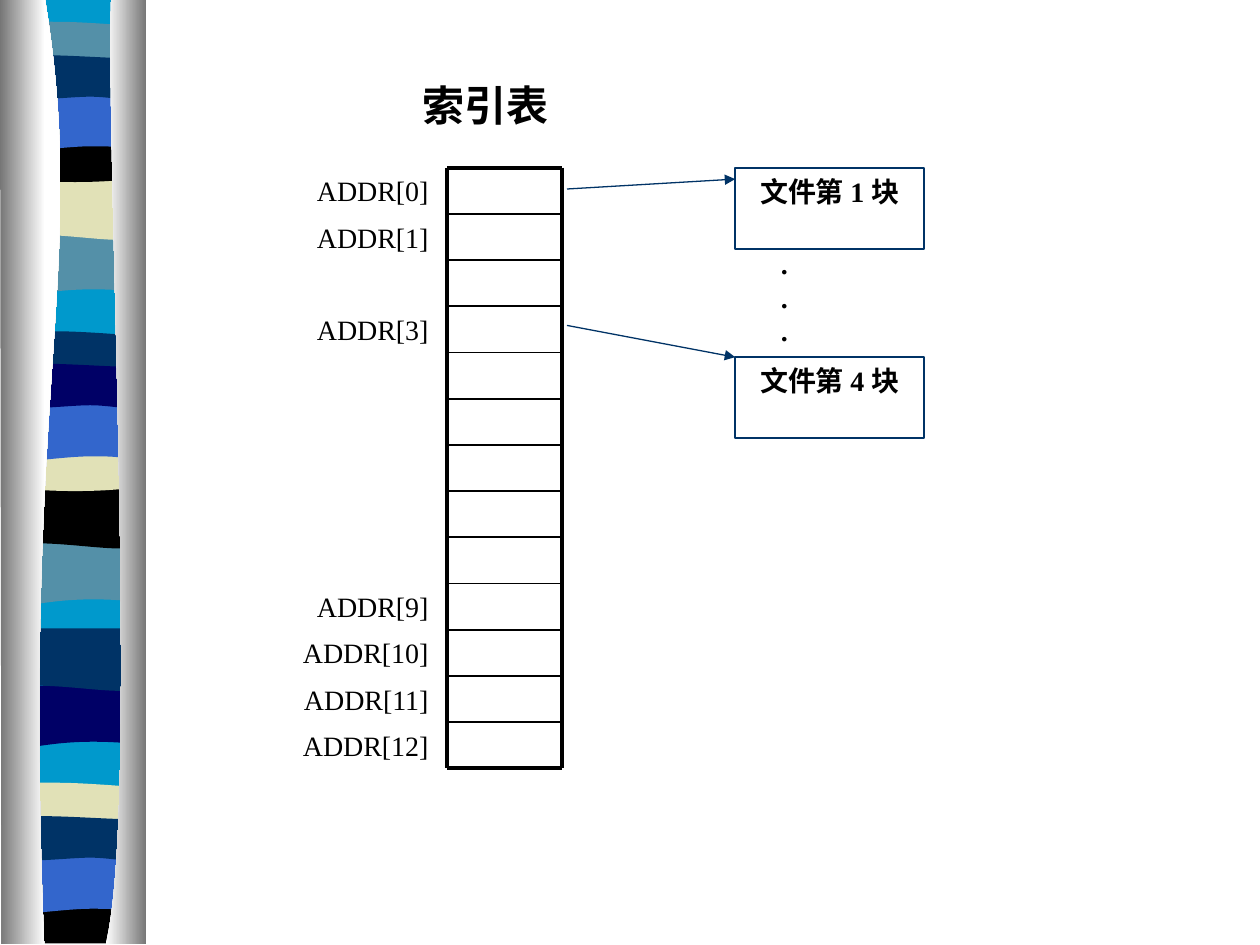
"""Build a slide that shows an index table pointing to file blocks."""
from lxml.etree import SubElement
from pptx import Presentation
from pptx.dml.color import RGBColor
from pptx.enum.shapes import MSO_CONNECTOR, MSO_SHAPE
from pptx.enum.text import MSO_ANCHOR, MSO_AUTO_SIZE, PP_ALIGN
from pptx.oxml.ns import qn
from pptx.util import Cm, Pt

FONT = "Times New Roman"
BLACK = RGBColor(0x00, 0x00, 0x00)
WHITE = RGBColor(0xFF, 0xFF, 0xFF)
GRAY = RGBColor(0x76, 0x76, 0x76)
CYAN = RGBColor(0x00, 0x99, 0xCC)
STEEL = RGBColor(0x54, 0x90, 0xA8)
CREAM = RGBColor(0xE1, 0xE1, 0xB7)
ROYAL = RGBColor(0x33, 0x66, 0xCC)
NAVY = RGBColor(0x00, 0x33, 0x66)
MIDNIGHT = RGBColor(0x00, 0x00, 0x66)

ROWS = 13
LABELED_ROWS = (0, 1, 3, 9, 10, 11, 12)
TABLE_LEFT, TABLE_RIGHT = 9.02, 11.33
TABLE_TOP, TABLE_BOTTOM = 3.38, 15.49
ROW_HEIGHT = (TABLE_BOTTOM - TABLE_TOP) / ROWS

BACKDROP = [(2.74, 0), (2.74, 18.97), (0, 18.97), (0, 0)]
WAVE = [(2.74, 0), (2.74, 1.19), (0.84, 0.99, 0.46, 1.4, 0, 1.19), (0, 0)]
SWELL = [(2.74, 0), (2.74, 1.19), (2.29, 1.4, 0.99, 1.04, 0, 1.19), (0, 0)]
RIBBON = [(2.74, 0.13), (2.74, 0.74), (2.29, 0.84, 0.46, 0.84, 0, 0.74), (0, 0.13),
          (0.15, 0, 0.58, 0.03, 1.04, 0.03), (1.5, 0.03, 2.39, 0.1, 2.74, 0.13)]
BOWL = [(2.74, 0), (2.74, 0.81), (2.29, 0.97, 0.46, 0.97, 0, 0.81), (0, 0),
        (1.68, 0.13, 2.16, 0, 2.74, 0)]
BASE = [(2.74, 0), (2.74, 0.94), (0, 0.94), (0, 0), (1.68, 0.13, 2.16, 0, 2.74, 0)]
ARCH = [(2.74, 0), (2.74, 1.19), (2.31, 1.07, 2.13, 1.07, 1.68, 1.07),
        (1.22, 1.07, 0.41, 1.19, 0, 1.19), (0, 0)]
CREST = [(2.74, 0.13), (2.74, 0.91), (2.57, 1.04, 2.13, 0.91, 1.68, 0.91),
         (1.22, 0.91, 0.28, 1.04, 0, 0.91), (0, 0.13),
         (0.38, 0, 1.85, 0.13, 2.31, 0.13)]
LEFT_EDGE = [(0.91, 0), (1.8, 5.49, 0.43, 7.52, 0.89, 19.03), (0.03, 19.03), (0, 0)]
RIGHT_EDGE = [(2.24, 0), (2.13, 3.18, 2.82, 16.41, 2.13, 19.03), (2.95, 19.03), (2.95, 0)]

BANDS = [
    (BACKDROP, 0, CYAN),
    (WAVE, 4.7, STEEL), (SWELL, 3.58, CREAM), (RIBBON, 0.41, STEEL),
    (BOWL, 2.74, BLACK), (ARCH, 1.88, ROYAL), (CREST, 1.04, NAVY),
    (WAVE, 10.95, STEEL), (SWELL, 9.8, BLACK), (RIBBON, 6.65, NAVY),
    (BOWL, 8.97, CREAM), (ARCH, 8.13, ROYAL), (CREST, 7.26, MIDNIGHT),
    (WAVE, 13.82, MIDNIGHT), (SWELL, 12.67, NAVY), (RIBBON, 15.75, CREAM),
    (BASE, 18.08, BLACK), (ARCH, 17.25, ROYAL), (CREST, 16.38, NAVY),
]


def add_outline(shapes, outline, left=0, top=0):
    """Add a closed borderless freeform whose six-number steps are cubic curves."""
    points = [(Cm(left + step[-2]), Cm(top + step[-1])) for step in outline]
    builder = shapes.build_freeform(*points[0])
    builder.add_line_segments(points[1:], close=True)
    shape = builder.convert_to_shape()
    segments = list(shape._element.iter(qn("a:lnTo")))
    for segment, step in zip(segments, outline[1:]):
        if len(step) == 6:
            segment.tag = qn("a:cubicBezTo")
            for position, (x, y) in enumerate((step[:2], step[2:4])):
                point = SubElement(segment, qn("a:pt"))
                point.set("x", str(Cm(left + x) - shape.left))
                point.set("y", str(Cm(top + y) - shape.top))
                segment.insert(position, point)
    shape.shadow.inherit = False
    shape.line.fill.background()
    return shape


def add_side_ornament(slide, master):
    """Put the striped column between two shaded edges on the slide master."""
    group = slide.shapes.add_group_shape()
    for outline, top, color in BANDS:
        shape = add_outline(group.shapes, outline, 0.14, top)
        shape.fill.solid()
        shape.fill.fore_color.rgb = color
    for outline, colors in ((LEFT_EDGE, (GRAY, WHITE)), (RIGHT_EDGE, (WHITE, GRAY))):
        fill = add_outline(group.shapes, outline).fill
        fill.gradient()
        fill.gradient_angle = 0
        for stop, position, color in zip(fill.gradient_stops, (0, 1), colors):
            stop.position = position
            stop.color.rgb = color
    master.shapes._spTree.insert(2, group._element)


def format_text(text_frame, size, bold=False, align=PP_ALIGN.CENTER):
    """Apply alignment and font to all runs of a text frame."""
    text_frame.vertical_anchor = MSO_ANCHOR.TOP
    for paragraph in text_frame.paragraphs:
        paragraph.alignment = align
        for run in paragraph.runs:
            run.font.name = FONT
            run.font.size = Pt(size)
            run.font.bold = bold
            run.font.color.rgb = BLACK


def format_title(slide, text):
    """Place and style the title placeholder above the table."""
    title = slide.shapes.title
    title.left, title.top, title.width, title.height = Cm(8.27), Cm(1.47), Cm(3.05), Cm(1.27)
    title.text_frame.text = text
    title.text_frame.word_wrap = False
    title.text_frame.auto_size = MSO_AUTO_SIZE.NONE
    format_text(title.text_frame, 24, bold=True)


def add_line(slide, start, end, color, width):
    """Add a straight line between two points and return it."""
    line = slide.shapes.add_connector(
        MSO_CONNECTOR.STRAIGHT, *(Cm(value) for value in (*start, *end)))
    line.line.color.rgb = color
    line.line.width = Pt(width)
    SubElement(line._element.spPr, qn("a:effectLst"))
    return line


def add_index_grid(slide):
    """Draw the index entries as thin rules inside a thick frame."""
    for index in range(ROWS + 1):
        y = TABLE_TOP + index * ROW_HEIGHT
        width = 2.25 if index in (0, ROWS) else 1
        add_line(slide, (TABLE_LEFT, y), (TABLE_RIGHT, y), BLACK, width)
    for x in (TABLE_LEFT, TABLE_RIGHT):
        add_line(slide, (x, TABLE_TOP), (x, TABLE_BOTTOM), BLACK, 2.25)


def add_row_label(slide, index):
    """Add the address label to the left of one index entry."""
    top = TABLE_TOP + index * ROW_HEIGHT
    box = slide.shapes.add_textbox(Cm(5.08), Cm(top), Cm(3.81), Cm(ROW_HEIGHT))
    box.text_frame.text = f"ADDR[{index}]"
    box.text_frame.word_wrap = True
    format_text(box.text_frame, 16, align=PP_ALIGN.RIGHT)


def add_file_block(slide, top, number):
    """Add the outlined box of one file block."""
    shape = slide.shapes.add_shape(
        MSO_SHAPE.RECTANGLE, Cm(14.82), Cm(top), Cm(3.81), Cm(1.63))
    shape.shadow.inherit = False
    shape.fill.background()
    shape.line.color.rgb = NAVY
    shape.line.width = Pt(0.75)
    shape.text_frame.text = f"文件第 {number} 块"
    format_text(shape.text_frame, 16, bold=True)


def add_dots(slide):
    """Add the vertical dots between the file blocks."""
    box = slide.shapes.add_textbox(Cm(15.49), Cm(4.85), Cm(0.64), Cm(2.29))
    box.text_frame.text = "\n".join("...")
    box.text_frame.word_wrap = False
    format_text(box.text_frame, 16, bold=True)


def add_arrow(slide, start_y, end_y):
    """Add an arrow from an index entry to a file block."""
    arrow = add_line(slide, (11.43, start_y), (14.82, end_y), NAVY, 0.75)
    SubElement(arrow.line._get_or_add_ln(), qn("a:tailEnd"), type="triangle")


def main():
    """Build and save the presentation."""
    presentation = Presentation()
    presentation.slide_width, presentation.slide_height = Cm(25.4), Cm(19.05)
    slide = presentation.slides.add_slide(presentation.slide_layouts[5])
    add_side_ornament(slide, presentation.slide_master)
    format_title(slide, "索引表")
    add_index_grid(slide)
    for index in LABELED_ROWS:
        add_row_label(slide, index)
    for top, number in ((3.39, 1), (7.2, 4)):
        add_file_block(slide, top, number)
    add_dots(slide)
    for start_y, end_y in ((3.81, 3.61), (6.56, 7.2)):
        add_arrow(slide, start_y, end_y)
    presentation.save("out.pptx")


if __name__ == "__main__":
    main()
